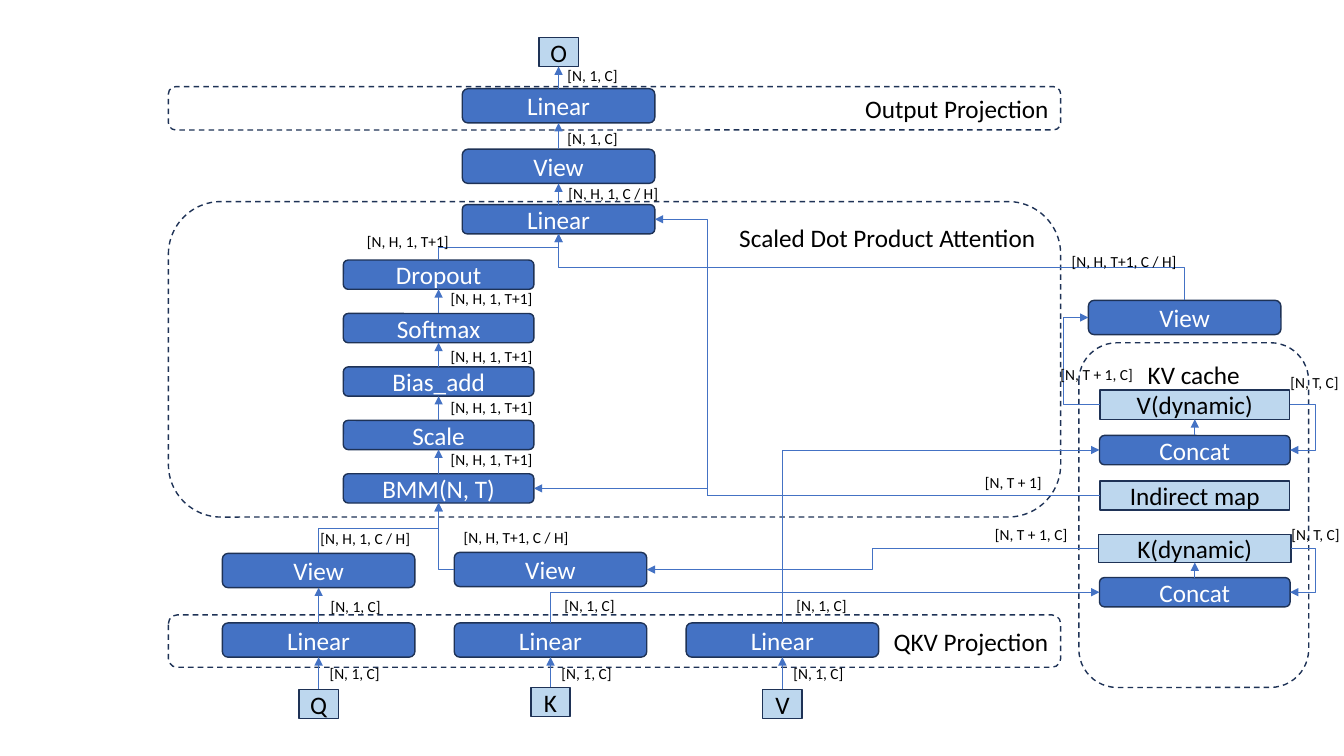
from dataclasses import dataclass
from itertools import pairwise

from lxml.etree import SubElement
from pptx import Presentation
from pptx.dml.color import RGBColor
from pptx.enum.dml import MSO_LINE
from pptx.enum.shapes import MSO_CONNECTOR, MSO_SHAPE
from pptx.enum.text import MSO_ANCHOR, MSO_AUTO_SIZE, PP_ALIGN
from pptx.oxml.ns import qn
from pptx.util import Pt

SCALE = 9144  # EMU per px, 100 px to the inch
TOP, LEFT, BOTTOM, RIGHT = range(4)


@dataclass(frozen=True)
class Theme:
    font: str = "Calibri"
    op_fill: RGBColor = RGBColor(0x44, 0x72, 0xC4)
    tensor_fill: RGBColor = RGBColor(0xBD, 0xD7, 0xEE)
    outline: RGBColor = RGBColor(0x1E, 0x32, 0x56)
    dark: RGBColor = RGBColor(0, 0, 0)
    light: RGBColor = RGBColor(255, 255, 255)
    body: int = 18
    small: int = 11


THEME = Theme()
LABEL_WIDTHS = {
    "[N, 1, C]": 71, "[N, T, C]": 70, "[N, T + 1]": 77, "[N, T + 1, C]": 93,
    "[N, H, 1, T+1]": 102, "[N, H, 1, C / H]": 110, "[N, H, T+1, C / H]": 125,
}


def px(length):
    return int(length * SCALE)


def write(shape, text, size=THEME.body, color=THEME.dark,
          align=PP_ALIGN.CENTER, anchor=MSO_ANCHOR.MIDDLE):
    frame = shape.text_frame
    frame.vertical_anchor = anchor
    paragraph = frame.paragraphs[0]
    paragraph.alignment = align
    run = paragraph.add_run()
    run.text = text
    run.font.name = THEME.font
    run.font.size = Pt(size)
    run.font.color.rgb = color


def outlined(slide, kind, left, top, width, height, fill=None):
    shape = slide.shapes.add_shape(kind, px(left), px(top), px(width), px(height))
    shape.shadow.inherit = False
    shape.line.color.rgb = THEME.outline
    shape.line.width = Pt(1)
    if fill is None:
        shape.fill.background()
    else:
        shape.fill.solid()
        shape.fill.fore_color.rgb = fill
    return shape


def group_frame(slide, text, left, top, width, height, **text_format):
    frame = outlined(slide, MSO_SHAPE.ROUNDED_RECTANGLE, left, top, width, height)
    frame.line.dash_style = MSO_LINE.DASH
    write(frame, text, **text_format)


def operation(slide, text, center, top, width=191, height=34):
    box = outlined(slide, MSO_SHAPE.ROUNDED_RECTANGLE, center - width / 2, top,
                   width, height, THEME.op_fill)
    write(box, text, color=THEME.light)
    return box


def tensor(slide, text, center, top, width=39, height=29):
    box = outlined(slide, MSO_SHAPE.RECTANGLE, center - width / 2, top,
                   width, height, THEME.tensor_fill)
    write(box, text)
    return box


def dimension(slide, text, left, top):
    label = slide.shapes.add_textbox(px(left), px(top), px(LABEL_WIDTHS[text]), px(29))
    label.text_frame.word_wrap = False
    label.text_frame.auto_size = MSO_AUTO_SIZE.SHAPE_TO_FIT_TEXT
    write(label, text, size=THEME.small, align=PP_ALIGN.LEFT, anchor=MSO_ANCHOR.TOP)


def arrow(slide, source, target, start=TOP, end=BOTTOM, kind=MSO_CONNECTOR.STRAIGHT):
    link = slide.shapes.add_connector(kind, 0, 0, 0, 0)
    link.begin_connect(source, start)
    link.end_connect(target, end)
    link.line.color.rgb = THEME.op_fill
    link.line.width = Pt(0.5)
    properties = link.element.spPr
    SubElement(properties.find(qn("a:ln")), qn("a:tailEnd"), type="triangle")
    SubElement(properties, qn("a:effectLst"))
    return link


def elbow(slide, source, start, target, end, bend_x=None):
    """Right-angled arrow; bend_x places its vertical run when it leaves sideways."""
    link = arrow(slide, source, target, start, end, MSO_CONNECTOR.ELBOW)
    dx, dy = link.end_x - link.begin_x, link.end_y - link.begin_y
    transform = link.element.spPr.find(qn("a:xfrm"))
    geometry = link.element.spPr.find(qn("a:prstGeom"))

    # One corner when the arrow leaves and arrives on different axes
    if start % 2 != end % 2:
        geometry.set("prst", "bentConnector2")
    if bend_x is not None:
        share = (px(bend_x) - link.begin_x) / dx
        guides = geometry.find(qn("a:avLst"))
        if guides is None:
            guides = SubElement(geometry, qn("a:avLst"))
        SubElement(guides, qn("a:gd"), name="adj1", fmla=f"val {round(share * 100000)}")

    if start == TOP:
        # Turn the path so that its first run goes upwards
        middle_x, middle_y = link.begin_x + dx // 2, link.begin_y + dy // 2
        link.width, link.height = abs(dy), abs(dx)
        link.left, link.top = middle_x - abs(dy) // 2, middle_y - abs(dx) // 2
        link.rotation = 90 if dx > 0 else 270
        transform.set("flipH", "1" if dx > 0 else "0")
        transform.set("flipV", "1")
    elif dx < 0 and dy < 0:
        link.rotation = 180
        transform.set("flipH", "0")
        transform.set("flipV", "0")


def main():
    deck = Presentation()
    deck.slide_width, deck.slide_height = px(1333), px(750)
    slide = deck.slides.add_slide(deck.slide_layouts[6])

    # Dashed stages
    group_frame(slide, "QKV Projection", 167, 610, 885, 52, align=PP_ALIGN.RIGHT)
    group_frame(slide, "Scaled Dot Product Attention", 167, 200, 885, 313,
                align=PP_ALIGN.RIGHT, anchor=MSO_ANCHOR.TOP)
    group_frame(slide, "Output Projection", 167, 86, 885, 43, align=PP_ALIGN.RIGHT)
    group_frame(slide, "KV cache", 1070, 340, 228, 342, anchor=MSO_ANCHOR.TOP)

    # Inputs and their projections
    projections = []
    for column, (name, top) in enumerate([("Q", 684), ("K", 682), ("V", 684)]):
        center = 316 + 230 * column
        projection = operation(slide, "Linear", center, 618)
        arrow(slide, tensor(slide, name, center, top), projection)
        dimension(slide, "[N, 1, C]", center + 1, 654)
        projections.append(projection)
    q_linear, k_linear, v_linear = projections
    q_view = operation(slide, "View", 316, 549)
    k_view = operation(slide, "View", 546, 548)
    arrow(slide, q_linear, q_view)

    # Attention scores, bottom to top
    steps = ["BMM(N, T)", "Scale", "Bias_add", "Softmax", "Dropout"]
    scores = [operation(slide, step, 435, 470 - 53 * row, 189, 29)
              for row, step in enumerate(steps)]
    bmm, dropout = scores[0], scores[-1]

    # Output column, bottom to top
    weighted = operation(slide, "Linear", 554, 203, height=29)
    output = [weighted, operation(slide, "View", 554, 148),
              operation(slide, "Linear", 554, 88), tensor(slide, "O", 554, 37)]
    for chain in (scores, output):
        for lower, upper in pairwise(chain):
            arrow(slide, lower, upper)

    # Cache
    v_view = operation(slide, "View", 1175, 298)
    v_cache = tensor(slide, "V(dynamic)", 1185, 387, 188)
    v_concat = operation(slide, "Concat", 1185, 432, 189, 29)
    indirect_map = tensor(slide, "Indirect map", 1185, 477, 188)
    k_cache = tensor(slide, "K(dynamic)", 1185, 530, 191, 28)
    k_concat = operation(slide, "Concat", 1185, 573, 189, 29)
    arrow(slide, v_concat, v_cache)
    arrow(slide, k_concat, k_cache)

    # Right-angled flows
    for flow in [
        (q_view, TOP, bmm, BOTTOM),
        (k_view, LEFT, bmm, BOTTOM),
        (dropout, TOP, weighted, BOTTOM),
        (v_view, TOP, weighted, BOTTOM),
        (k_linear, TOP, k_concat, LEFT),
        (v_linear, TOP, v_concat, LEFT),
        (k_cache, LEFT, k_view, RIGHT, 865),
        (k_cache, RIGHT, k_concat, RIGHT, 1305),
        (v_cache, RIGHT, v_concat, RIGHT, 1304),
        (v_cache, LEFT, v_view, LEFT, 1055),
        (indirect_map, LEFT, bmm, RIGHT, 702),
        (indirect_map, LEFT, weighted, RIGHT, 702),
    ]:
        elbow(slide, *flow)

    # Tensor dimensions
    places = {
        "[N, 1, C]": [(318, 587), (550, 586), (780, 586), (553, 123), (553, 61)],
        "[N, T, C]": [(1271, 516), (1270, 365)],
        "[N, T + 1]": [(967, 464)],
        "[N, T + 1, C]": [(977, 516), (1042, 357)],
        "[N, H, 1, T+1]": [(437, 442), (437, 390), (437, 339), (437, 282), (354, 225)],
        "[N, H, 1, C / H]": [(308, 520), (554, 178)],
        "[N, H, T+1, C / H]": [(450, 519), (1053, 245)],
    }
    for text, corners in places.items():
        for left, top in corners:
            dimension(slide, text, left, top)

    deck.save("out.pptx")


if __name__ == "__main__":
    main()
